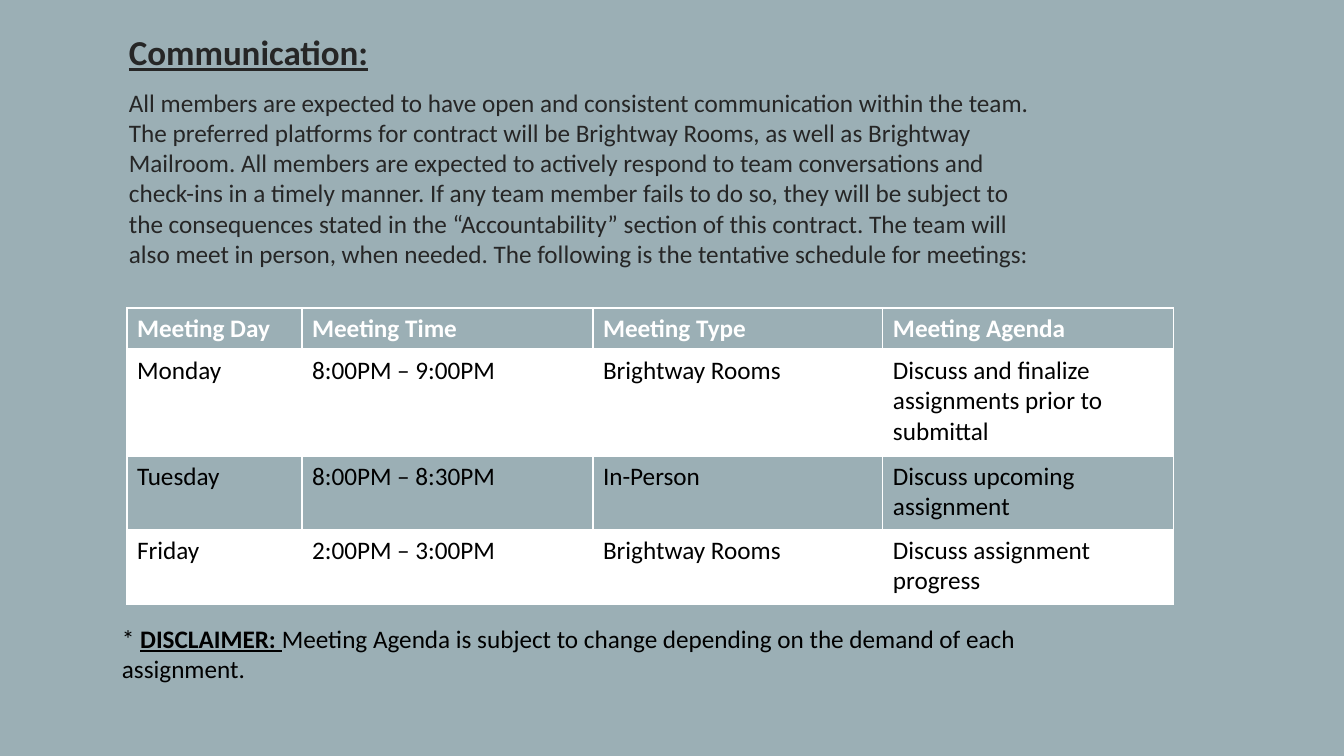
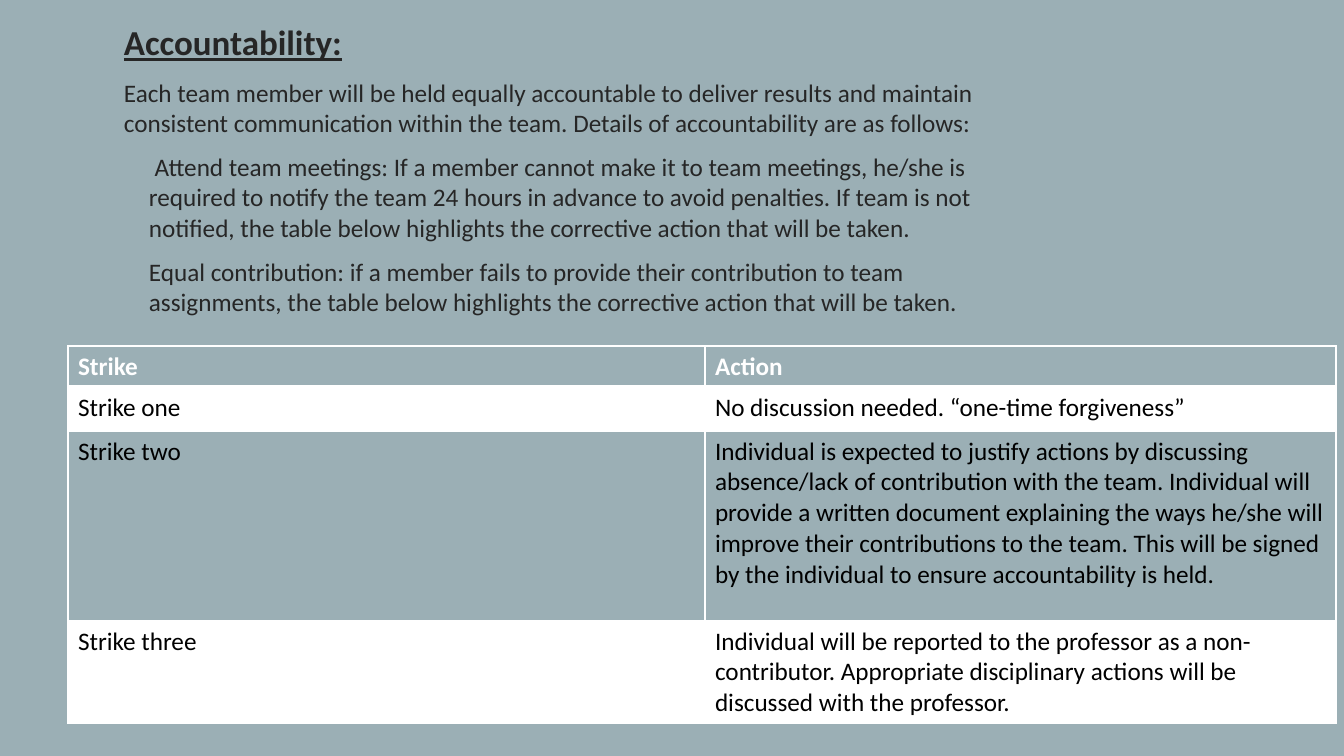
"""Build the communication and accountability slides of a team contract."""
import lxml.etree
import pptx
import pptx.dml.color
import pptx.oxml.ns
import pptx.util

SLATE = pptx.dml.color.RGBColor(0x9B, 0xAF, 0xB5)
WHITE = pptx.dml.color.RGBColor(0xFF, 0xFF, 0xFF)
CHARCOAL = pptx.dml.color.RGBColor(0x26, 0x26, 0x26)
BLACK = pptx.dml.color.RGBColor(0x00, 0x00, 0x00)
FONT = "Calibri"
TITLE_SIZE = 25
TEXT_SIZE = 18
BULLET_INDENT = 25
SCALE = 12192000 / 1344


def px(n):
    return pptx.util.Emu(round(n * SCALE))


def style(r, color, size=TEXT_SIZE, bold=False, underline=False):
    r.font.name = FONT
    r.font.size = pptx.util.Pt(size)
    r.font.color.rgb = color
    r.font.bold = bold
    r.font.underline = underline


slides = [
    {
        "title": "Communication:",
        "body_box": (119, 26, 923, 296),
        "body": [
            (0, "All members are expected to have open and consistent communication within the team. "
                "The preferred platforms for contract will be Brightway Rooms, as well as Brightway "
                "Mailroom. All members are expected to actively respond to team conversations and "
                "check-ins in a timely manner. If any team member fails to do so, they will be subject "
                "to the consequences stated in the “Accountability” section of this contract. The team "
                "will also meet in person, when needed. The following is the tentative schedule for "
                "meetings:"),
        ],
        "table_at": (127, 308),
        "cols": [175, 291, 290, 291],
        "rows": [42, 106, 74, 74],
        "cells": [
            ["Meeting Day", "Meeting Time", "Meeting Type", "Meeting Agenda"],
            ["Monday", "8:00PM – 9:00PM", "Brightway Rooms",
             "Discuss and finalize assignments prior to submittal"],
            ["Tuesday", "8:00PM – 8:30PM", "In-Person", "Discuss upcoming assignment"],
            ["Friday", "2:00PM – 3:00PM", "Brightway Rooms", "Discuss assignment progress"],
        ],
        "note_box": (112, 618, 936, 72),
        "note": [
            ("* ", False),
            ("DISCLAIMER: ", True),
            ("Meeting Agenda is subject to change depending on the demand of each assignment.", False),
        ],
    },
    {
        "title": "Accountability:",
        "body_box": (114, 16, 873, 349),
        "body": [
            (0, "Each team member will be held equally accountable to deliver results and maintain "
                "consistent communication within the team. Details of accountability are as follows:"),
            (BULLET_INDENT,
             " Attend team meetings: If a member cannot make it to team meetings, he/she is required "
             "to notify the team 24 hours in advance to avoid penalties. If team is not notified, the "
             "table below highlights the corrective action that will be taken."),
            (BULLET_INDENT,
             "Equal contribution: if a member fails to provide their contribution to team assignments, "
             "the table below highlights the corrective action that will be taken."),
        ],
        "table_at": (68, 346),
        "cols": [637, 631],
        "rows": [41, 44, 190, 102],
        "cells": [
            ["Strike", "Action"],
            ["Strike one", "No discussion needed. “one-time forgiveness”"],
            ["Strike two",
             "Individual is expected to justify actions by discussing absence/lack of contribution with "
             "the team. Individual will provide a written document explaining the ways he/she will "
             "improve their contributions to the team. This will be signed by the individual to ensure "
             "accountability is held."],
            ["Strike three",
             "Individual will be reported to the professor as a non-contributor. Appropriate "
             "disciplinary actions will be discussed with the professor."],
        ],
    },
]

prs = pptx.Presentation()
prs.slide_width, prs.slide_height = px(1344), px(756)
background = prs.slide_master.background.fill
background.solid()
background.fore_color.rgb = SLATE

for content in slides:
    s = prs.slides.add_slide(prs.slide_layouts[6])

    tf = s.shapes.add_textbox(*map(px, content["body_box"])).text_frame
    tf.word_wrap = True
    tf.text = "\n".join([content["title"]] + [text for _, text in content["body"]])
    indents = [0] + [indent for indent, _ in content["body"]]
    for i, (p, indent) in enumerate(zip(tf.paragraphs, indents)):
        p.space_before = pptx.util.Pt(10)
        if indent:
            p._p.get_or_add_pPr().set("marL", str(px(indent)))
        is_title = i == 0
        style(p.runs[0], CHARCOAL, TITLE_SIZE if is_title else TEXT_SIZE, is_title, is_title)

    cols, rows = content["cols"], content["rows"]
    left, top = content["table_at"]
    table = s.shapes.add_table(
        len(rows), len(cols), px(left), px(top), px(sum(cols)), px(sum(rows))).table
    for column, width in zip(table.columns, cols):
        column.width = px(width)
    for i, (row, height, texts) in enumerate(zip(table.rows, rows, content["cells"])):
        row.height = px(height)
        is_header = i == 0
        for cell, text in zip(row.cells, texts):
            cell.text = text
            style(cell.text_frame.paragraphs[0].runs[0],
                  WHITE if is_header else BLACK, bold=is_header)
            tc_pr = cell._tc.get_or_add_tcPr()
            for side in ("lnL", "lnR", "lnT", "lnB"):
                points = 3 if is_header and side == "lnB" else 1
                ln = lxml.etree.SubElement(
                    tc_pr, pptx.oxml.ns.qn("a:" + side), w=str(pptx.util.Pt(points)))
                fill = lxml.etree.SubElement(ln, pptx.oxml.ns.qn("a:solidFill"))
                lxml.etree.SubElement(fill, pptx.oxml.ns.qn("a:srgbClr"), val=str(WHITE))
            cell.fill.solid()
            cell.fill.fore_color.rgb = WHITE if i % 2 else SLATE

    if "note" in content:
        tf = s.shapes.add_textbox(*map(px, content["note_box"])).text_frame
        tf.word_wrap = True
        for text, strong in content["note"]:
            r = tf.paragraphs[0].add_run()
            r.text = text
            style(r, BLACK, bold=strong, underline=strong)

prs.save("out.pptx")
